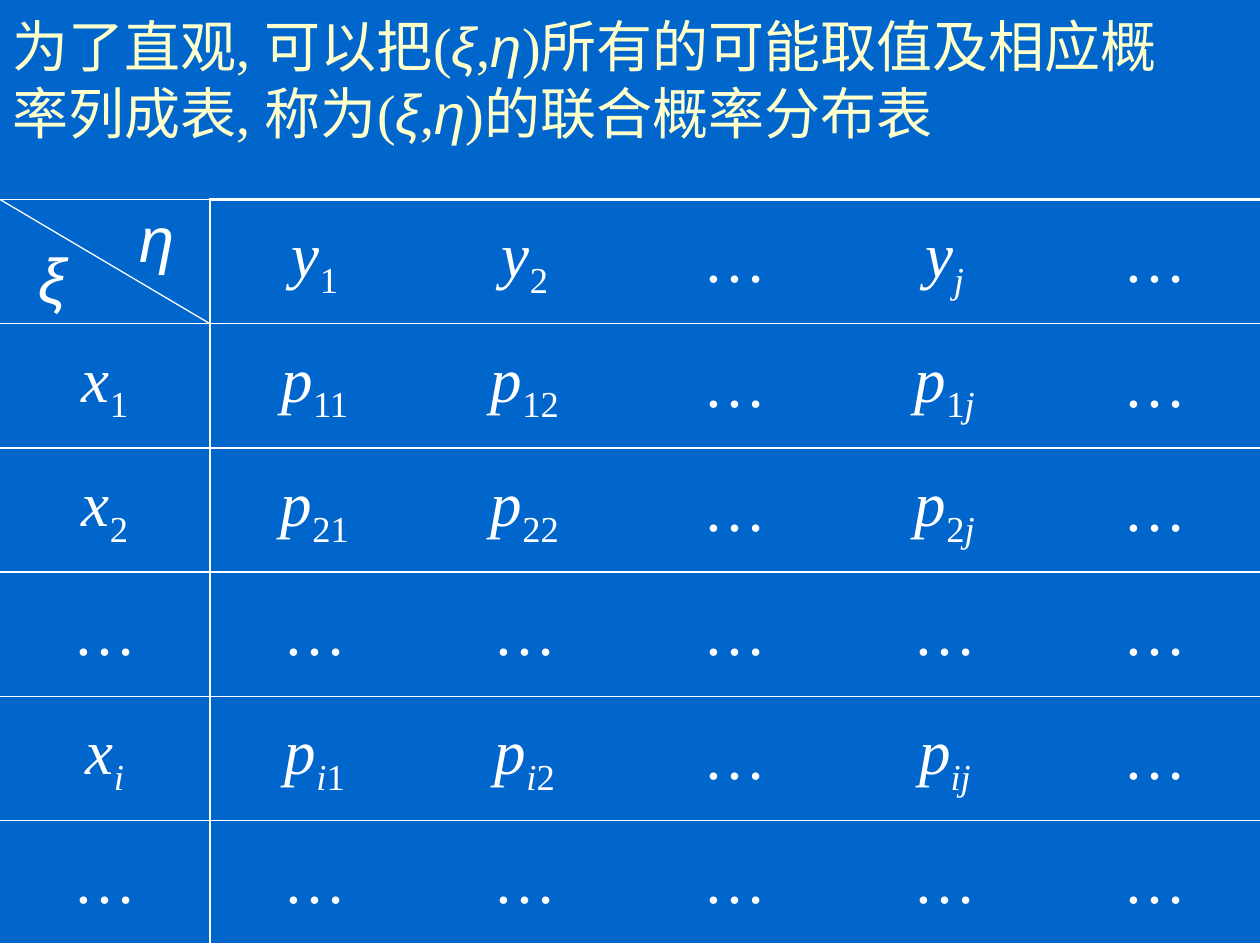
import itertools
from dataclasses import dataclass

import pptx
import pptx.dml.color
import pptx.enum.shapes
import pptx.enum.text
import pptx.oxml.ns
import pptx.util
from lxml import etree

Pt = pptx.util.Pt
Anchor = pptx.enum.text.MSO_ANCHOR
Align = pptx.enum.text.PP_ALIGN


@dataclass(frozen=True)
class Theme:
    """Colours, fonts, type sizes and line widths of the slide."""
    background: str = "0066CC"
    heading: str = "FFFFCC"
    ink: str = "FFFFFF"
    body_font: str = "Times New Roman"
    greek_font: str = "Arial"
    heading_size: int = 32
    cell_size: int = 36
    thin: float = 1
    thick: float = 2.25
    diagonal: float = 0.75


THEME = Theme()
HEADING = "为了直观, 可以把(ξ,η)所有的可能取值及相应概率列成表, 称为(ξ,η)的联合概率分布表"
DISTRIBUTION = [
    ["ξ", "η", "y_1", "y_2", "…", "y_j", "…"],
    ["x_1", "", "p_11", "p_12", "…", "p_1j", "…"],
    ["x_2", "", "p_21", "p_22", "…", "p_2j", "…"],
    ["…", "", "…", "…", "…", "…", "…"],
    ["x_i", "", "p_i1", "p_i2", "…", "p_ij", "…"],
    ["…", "", "…", "…", "…", "…", "…"],
]


def rgb(colour):
    """Turn a hex string into a colour."""
    return pptx.dml.color.RGBColor.from_string(colour)


def is_greek(letter):
    """Tell whether a letter names one of the random variables."""
    return letter in "ξη"


def add_run(paragraph, text, size, colour, italic=False, subscript=False):
    """Add one formatted run to a paragraph."""
    run = paragraph.add_run()
    run.text = text
    run.font.size = Pt(size)
    run.font.name = THEME.greek_font if is_greek(text) else THEME.body_font
    run.font.italic = italic
    run.font.bold = False
    run.font.color.rgb = rgb(colour)
    if subscript:
        run._r.get_or_add_rPr().set("baseline", "-25000")


def add_symbol(paragraph, symbol):
    """Write a symbol such as p_1j with italic letters and upright digits."""
    base, _, index = symbol.partition("_")
    add_run(paragraph, base, THEME.cell_size, THEME.ink, italic=base != "…")
    for digits, part in itertools.groupby(index, str.isdigit):
        add_run(paragraph, "".join(part), THEME.cell_size, THEME.ink, not digits, True)


def set_borders(cell, widths):
    """Draw the given cell edges and hide those of zero width."""
    properties = cell._tc.get_or_add_tcPr()
    qn = pptx.oxml.ns.qn
    for edge in ("L", "R", "T", "B"):
        width = widths.get(edge, 0)
        line = etree.SubElement(properties, qn(f"a:ln{edge}"), w=str(Pt(width)))
        if width:
            fill = etree.SubElement(line, qn("a:solidFill"))
            etree.SubElement(fill, qn("a:srgbClr"), val=THEME.ink)
        else:
            etree.SubElement(line, qn("a:noFill"))


def add_heading(slide, left, top, width, height):
    """Place the introductory sentence in the title placeholder."""
    title = slide.shapes.title
    title.left, title.top, title.width, title.height = map(Pt, (left, top, width, height))
    frame = title.text_frame
    frame.word_wrap = True
    frame.auto_size = pptx.enum.text.MSO_AUTO_SIZE.NONE
    frame.vertical_anchor = Anchor.MIDDLE
    paragraph = frame.paragraphs[0]
    paragraph.alignment = Align.LEFT
    for greek, part in itertools.groupby(HEADING, is_greek):
        add_run(paragraph, "".join(part), THEME.heading_size, THEME.heading, greek)


def add_distribution(slide, left, top, width, height):
    """Place the joint distribution table and its split corner."""
    row_count, column_count = len(DISTRIBUTION), len(DISTRIBUTION[0])
    table = slide.shapes.add_table(
        row_count, column_count, Pt(left), Pt(top), Pt(width), Pt(height)).table
    table.first_row = table.horz_banding = False
    value_width = width / (column_count - 1)
    row_height = height / row_count
    for column_index, column in enumerate(table.columns):
        column.width = Pt(value_width / 2 if column_index < 2 else value_width)
    for row_index, (row, symbols) in enumerate(zip(table.rows, DISTRIBUTION)):
        row.height = Pt(row_height)
        if row_index:
            table.cell(row_index, 0).merge(table.cell(row_index, 1))
        for column_index, symbol in enumerate(symbols):
            cell = table.cell(row_index, column_index)
            widths = {"T": THEME.thin, "B": THEME.thin}
            if row_index == 0 and column_index >= 2:
                widths["T"] = THEME.thick
            if row_index == row_count - 1:
                widths["B"] = THEME.thick
            if column_index == 1 or cell.is_merge_origin:
                widths["R"] = THEME.thin
            if column_index == 2:
                widths["L"] = THEME.thin
            set_borders(cell, widths)
            cell.fill.background()
            cell.vertical_anchor = {"ξ": Anchor.BOTTOM, "η": Anchor.TOP}.get(
                symbol, Anchor.MIDDLE)
            if symbol:
                paragraph = cell.text_frame.paragraphs[0]
                paragraph.alignment = Align.CENTER
                add_symbol(paragraph, symbol)
    diagonal = slide.shapes.add_connector(
        pptx.enum.shapes.MSO_CONNECTOR.STRAIGHT, Pt(left), Pt(top),
        Pt(left + value_width), Pt(top + row_height))
    diagonal.line.color.rgb = rgb(THEME.ink)
    diagonal.line.width = Pt(THEME.diagonal)
    etree.SubElement(diagonal._element.spPr, pptx.oxml.ns.qn("a:effectLst"))


def main():
    """Build and save the slide."""
    deck = pptx.Presentation()
    deck.slide_width, deck.slide_height = Pt(720), Pt(540)
    slide = deck.slides.add_slide(deck.slide_layouts[5])
    slide.background.fill.solid()
    slide.background.fill.fore_color.rgb = rgb(THEME.background)
    add_heading(slide, 0, 0, 696, 90)
    add_distribution(slide, 0, 114, 720, 426)
    deck.save("out.pptx")


if __name__ == "__main__":
    main()
